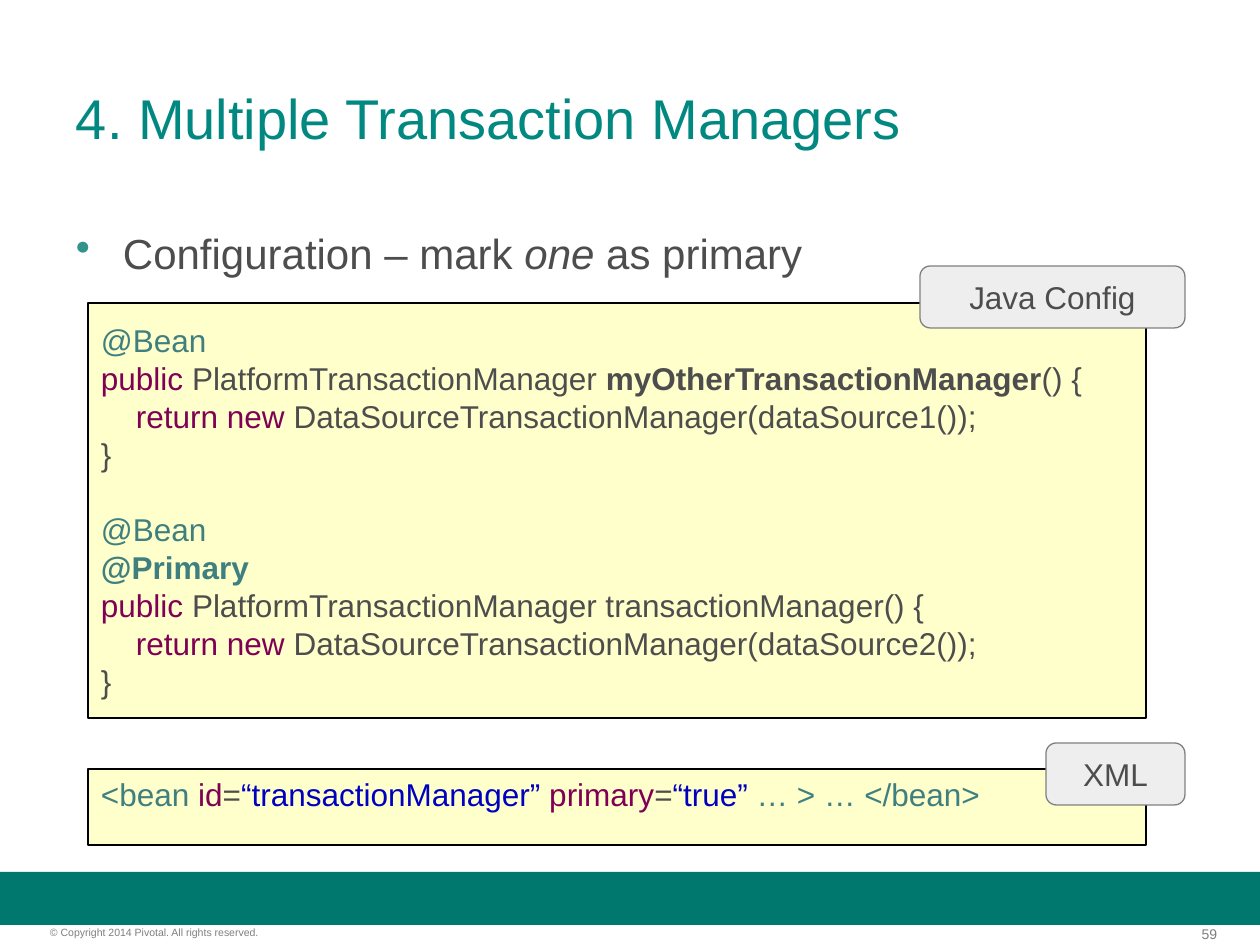
"""Build the slide on multiple transaction managers with Java and XML configuration."""
from dataclasses import dataclass
from typing import Any, NamedTuple, Optional

from lxml import etree
from pptx import Presentation
from pptx import util as u
from pptx.dml.color import RGBColor
from pptx.enum import shapes, text
from pptx.oxml import ns

EMU_PER_PX = 914400 / 126


@dataclass(frozen=True)
class Theme:
    font: str = "Arial"
    title: str = "008881"
    body: str = "4D4D4D"
    bullet: str = "33928A"
    tag: str = "3F7F7F"
    keyword: str = "7F0055"
    string: str = "0000C0"
    muted: str = "7F7F7F"
    band: str = "00786E"
    code_fill: str = "FFFFCC"
    code_line: str = "000000"
    label_fill: str = "EEEEEE"
    label_line: str = "808080"
    title_size: int = 32
    body_size: int = 24
    code_size: int = 18
    number_size: int = 8
    copyright_size: int = 6


THEME = Theme()


class Box(NamedTuple):
    left: int
    top: int
    width: int
    height: int


class Run(NamedTuple):
    text: str
    color: str = THEME.body
    bold: bool = False
    italic: bool = False


class Line(NamedTuple):
    runs: list[Run]
    space_before: float = 0


class Style(NamedTuple):
    size: int
    margins: tuple[int, int] = (13, 6)
    anchor: Any = text.MSO_ANCHOR.MIDDLE
    align: Any = text.PP_ALIGN.LEFT
    leading: Optional[float] = None


class Panel(NamedTuple):
    box: Box
    lines: list[Line]
    style: Style
    kind: Any = shapes.MSO_SHAPE.RECTANGLE
    fill: str = THEME.code_fill
    line: str = THEME.code_line
    line_width: int = 1


CODE_LEADING = 1.2 * THEME.code_size
CODE = Style(THEME.code_size, leading=CODE_LEADING)
LABEL = Style(THEME.code_size, align=text.PP_ALIGN.CENTER)


def to_emu(box: Box) -> list[int]:
    return [round(value * EMU_PER_PX) for value in box]


def set_values(target: Any, values: dict[str, Any]) -> None:
    for name, value in values.items():
        setattr(target, name, value)


def write_text(shape: Any, lines: list[Line], style: Style) -> None:
    side, end = (round(margin * EMU_PER_PX) for margin in style.margins)
    frame = shape.text_frame
    set_values(frame, {
        "word_wrap": True, "vertical_anchor": style.anchor,
        "margin_left": side, "margin_right": side,
        "margin_top": end, "margin_bottom": end,
    })
    for index, line in enumerate(lines):
        paragraph = frame.add_paragraph() if index else frame.paragraphs[0]
        set_values(paragraph, {"alignment": style.align})
        if style.leading:
            paragraph.line_spacing = u.Pt(style.leading)
        if line.space_before:
            paragraph.space_before = u.Pt(line.space_before)
        for part in line.runs:
            run = paragraph.add_run()
            run.text = part.text
            set_values(run.font, {
                "name": THEME.font, "size": u.Pt(style.size),
                "bold": part.bold, "italic": part.italic,
            })
            run.font.color.rgb = RGBColor.from_string(part.color)


def add_text(slide: Any, box: Box, runs: list[Run], style: Style) -> Any:
    shape = slide.shapes.add_textbox(*to_emu(box))
    write_text(shape, [Line(runs)], style)
    return shape


def add_bullet(paragraph: Any, indent: int) -> None:
    properties = paragraph._p.get_or_add_pPr()
    width = round(indent * EMU_PER_PX)
    properties.set("marL", str(width))
    properties.set("indent", str(-width))
    color = etree.SubElement(properties, ns.qn("a:buClr"))
    etree.SubElement(color, ns.qn("a:srgbClr"), val=THEME.bullet)
    etree.SubElement(properties, ns.qn("a:buChar"), char="•")


def add_filled(slide: Any, kind: Any, box: Box, fill: str) -> Any:
    shape = slide.shapes.add_shape(kind, *to_emu(box))
    shape.shadow.inherit = False
    shape.fill.solid()
    shape.fill.fore_color.rgb = RGBColor.from_string(fill)
    shape.line.fill.background()
    return shape


def add_panel(slide: Any, panel: Panel) -> None:
    shape = add_filled(slide, panel.kind, panel.box, panel.fill)
    shape.line.color.rgb = RGBColor.from_string(panel.line)
    shape.line.width = u.Pt(panel.line_width)
    write_text(shape, panel.lines, panel.style)


def label(box: Box, caption: str) -> Panel:
    return Panel(box, [Line([Run(caption)])], LABEL, shapes.MSO_SHAPE.ROUNDED_RECTANGLE,
                 THEME.label_fill, THEME.label_line, 0)


def bean_method(name: Run, source: str) -> list[Line]:
    return [
        Line([Run("public ", THEME.keyword), Run("PlatformTransactionManager "),
              name, Run("() {")]),
        Line([Run("    "), Run("return new", THEME.keyword),
              Run(f" DataSourceTransactionManager({source}());")]),
        Line([Run("}")]),
    ]


def main() -> None:
    presentation = Presentation()
    presentation.slide_width, presentation.slide_height = u.Inches(10), u.Inches(7.5)
    slide = presentation.slides.add_slide(presentation.slide_layouts[6])
    top = text.MSO_ANCHOR.TOP

    add_filled(slide, shapes.MSO_SHAPE.RECTANGLE, Box(0, 872, 1260, 53), THEME.band)
    add_text(slide, Box(1173, 926, 73, 16), [Run("59", THEME.muted)],
             Style(THEME.number_size, (0, 0), top, text.PP_ALIGN.CENTER))
    add_text(slide, Box(50, 926, 314, 13),
             [Run("© Copyright 2014 Pivotal. All rights reserved.", THEME.muted)],
             Style(THEME.copyright_size, (0, 0), top))
    add_text(slide, Box(63, 38, 1134, 158),
             [Run("4. Multiple Transaction Managers", THEME.title)], Style(THEME.title_size))
    body = add_text(slide, Box(63, 221, 1134, 624),
                    [Run("Configuration – mark "), Run("one", italic=True), Run(" as primary")],
                    Style(THEME.body_size, anchor=top, leading=1.2 * THEME.body_size))
    add_bullet(body.text_frame.paragraphs[0], 47)

    bean = [Run("@Bean", THEME.tag)]
    java = [
        Line(bean),
        *bean_method(Run("myOtherTransactionManager", bold=True), "dataSource1"),
        Line(bean, space_before=CODE_LEADING),
        Line([Run("@Primary", THEME.tag, bold=True)]),
        *bean_method(Run("transactionManager"), "dataSource2"),
    ]
    xml = [Line([
        Run("<bean ", THEME.tag), Run("id", THEME.keyword), Run("="),
        Run("“transactionManager” ", THEME.string), Run("primary", THEME.keyword), Run("="),
        Run("“true” ", THEME.string), Run("… > … </bean>", THEME.tag),
    ])]
    for panel in (
        Panel(Box(88, 303, 1058, 415), java, CODE),
        Panel(Box(88, 769, 1058, 76), xml, CODE._replace(anchor=top)),
        label(Box(920, 266, 265, 62), "Java Config"),
        label(Box(1046, 743, 139, 62), "XML"),
    ):
        add_panel(slide, panel)
    presentation.save("out.pptx")


if __name__ == "__main__":
    main()
